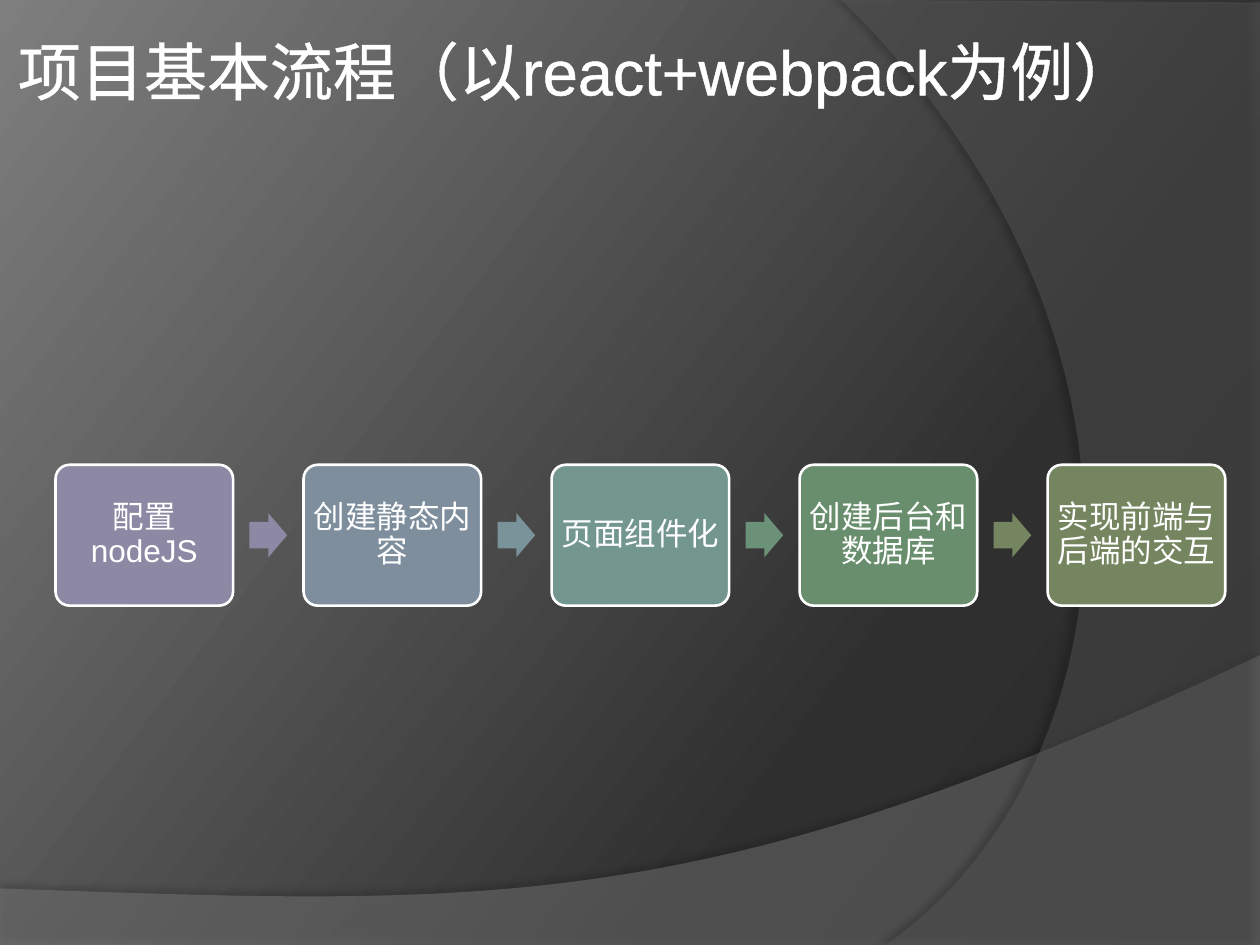
from dataclasses import dataclass
from lxml.etree import SubElement
from pptx import Presentation
from pptx.dml.color import RGBColor
from pptx.enum.shapes import MSO_SHAPE
from pptx.enum.text import MSO_ANCHOR, MSO_AUTO_SIZE, PP_ALIGN
from pptx.oxml.ns import qn
from pptx.util import Cm, Pt

TITLE = "项目基本流程（以react+webpack为例）"
STEPS = [
    ("配置nodeJS", "8D89A4", "8D89A4"),
    ("创建静态内容", "7E8E9D", "7A939B"),
    ("页面组件化", "73968F", "6B9279"),
    ("创建后台和数据库", "698E6E", "748560"),
    ("实现前端与后端的交互", "748560", None),
]
SWEEPS = [
    {
        "corners": [(0, 17.91), (0, 19.08), (25.4, 19.08), (25.4, 13.21)],
        "curve": [(14.2, 18.52), (9.93, 18.26), (0, 17.91)],
        "fill": "7F7F7F", "opacity": 45,
        "shadow": {"opacity": 35, "blur": 4, "distance": 3.5, "angle": 270},
    },
    {
        "corners": [(16.97, 0), (25.4, 0.05), (25.4, 19.05), (17.86, 19.05)],
        "curve": [(22.63, 15.72), (24.05, 6.99), (16.97, 0)],
        "fill": "5E5E5E", "opacity": 40,
        "shadow": {"opacity": 45, "blur": 4, "distance": 4, "angle": 180},
    },
]


@dataclass(frozen=True)
class Theme:
    font: str = "Arial"
    text: str = "FFFFFF"
    shadow: str = "000000"
    backdrop: tuple = ((0, "282828"), (30, "2F2F2F"), (100, "7E7E7E"))
    backdrop_angle: int = 217
    title_size: float = 36
    title_outline: float = 1.45
    step_size: float = 18
    border: float = 1.5


THEME = Theme()
STEP_LEFT, STEP_TOP, STEP_PITCH = 1.12, 9.37, 5.0
STEP_WIDTH, STEP_HEIGHT = 3.58, 2.84
ARROW_WIDTH, ARROW_HEIGHT = 0.76, 0.89
CURVE_STEPS = 60


def add_color(parent, color, opacity=100):
    element = SubElement(parent, qn("a:srgbClr"), val=color)
    if opacity < 100:
        SubElement(element, qn("a:alpha"), val=str(opacity * 1000))


def paint_background(slide):
    fill = slide.background.fill
    fill.gradient()
    gradient = slide.background._cSld.find(".//" + qn("a:gradFill"))
    stops = gradient.find(qn("a:gsLst"))
    for stop in list(stops):
        stops.remove(stop)
    for position, color in THEME.backdrop:
        add_color(SubElement(stops, qn("a:gs"), pos=str(position * 1000)), color)
    direction = gradient.find(qn("a:lin"))
    direction.set("ang", str(THEME.backdrop_angle * 60000))
    direction.set("scaled", "0")


def curve_points(start, first, second, end):
    for step in range(1, CURVE_STEPS + 1):
        t = step / CURVE_STEPS
        u = 1 - t
        yield tuple(
            u**3 * a + 3 * u**2 * t * b + 3 * u * t**2 * c + t**3 * d
            for a, b, c, d in zip(start, first, second, end)
        )


def add_sweep(slide, sweep):
    corners = sweep["corners"]
    outline = corners + list(curve_points(corners[-1], *sweep["curve"]))
    points = [(Cm(x), Cm(y)) for x, y in outline]
    builder = slide.shapes.build_freeform(*points[0])
    builder.add_line_segments(points[1:], close=True)
    shape = builder.convert_to_shape()
    shape.fill.solid()
    shape.fill.fore_color.rgb = RGBColor.from_string(sweep["fill"])
    color = shape.fill._xPr.find(".//" + qn("a:srgbClr"))
    SubElement(color, qn("a:alpha"), val=str(sweep["opacity"] * 1000))
    shape.line.fill.background()
    shape.shadow.inherit = False
    shadow = sweep["shadow"]
    effect = SubElement(
        shape.element.spPr.find(qn("a:effectLst")), qn("a:outerShdw"),
        blurRad=str(Pt(shadow["blur"])), dist=str(Pt(shadow["distance"])),
        dir=str(shadow["angle"] * 60000), algn="ctr", rotWithShape="0",
    )
    add_color(effect, THEME.shadow, shadow["opacity"])


def write_text(frame, text, size):
    frame.word_wrap = True
    paragraph = frame.paragraphs[0]
    paragraph.alignment = PP_ALIGN.CENTER
    run = paragraph.add_run()
    run.text = text
    run.font.name = THEME.font
    run.font.size = Pt(size)
    run.font.color.rgb = RGBColor.from_string(THEME.text)
    return paragraph, run


def add_title(slide):
    box = slide.shapes.add_textbox(Cm(0), Cm(0.53), Cm(23.27), Cm(1.8))
    run = write_text(box.text_frame, TITLE, THEME.title_size)[1]
    box.text_frame.auto_size = MSO_AUTO_SIZE.SHAPE_TO_FIT_TEXT
    properties = run.font._element
    outline = SubElement(properties, qn("a:ln"), w=str(Pt(THEME.title_outline)))
    add_color(SubElement(outline, qn("a:solidFill")), THEME.text)
    properties.insert(0, outline)


def add_block(slide, kind, left, top, width, height, color):
    shape = slide.shapes.add_shape(kind, Cm(left), Cm(top), Cm(width), Cm(height))
    shape.shadow.inherit = False
    shape.fill.solid()
    shape.fill.fore_color.rgb = RGBColor.from_string(color)
    shape.line.fill.background()
    return shape


def add_step(slide, index, text, color, arrow_color):
    left = STEP_LEFT + index * STEP_PITCH
    box = add_block(slide, MSO_SHAPE.ROUNDED_RECTANGLE, left, STEP_TOP,
                    STEP_WIDTH, STEP_HEIGHT, color)
    box.adjustments[0] = 0.1
    box.line.color.rgb = RGBColor.from_string(THEME.text)
    box.line.width = Pt(THEME.border)
    frame = box.text_frame
    frame.margin_left = frame.margin_right = Cm(0.1)
    frame.margin_top = frame.margin_bottom = Cm(0.1)
    frame.vertical_anchor = MSO_ANCHOR.MIDDLE
    write_text(frame, text, THEME.step_size)[0].line_spacing = 0.9
    if arrow_color:
        gap = STEP_PITCH - STEP_WIDTH
        arrow_left = left + STEP_WIDTH + (gap - ARROW_WIDTH) / 2
        arrow_top = STEP_TOP + (STEP_HEIGHT - ARROW_HEIGHT) / 2
        arrow = add_block(slide, MSO_SHAPE.RIGHT_ARROW, arrow_left, arrow_top,
                          ARROW_WIDTH, ARROW_HEIGHT, arrow_color)
        arrow.adjustments[0] = 0.6
        arrow.adjustments[1] = 0.5


def main():
    presentation = Presentation()
    presentation.slide_width, presentation.slide_height = Cm(25.4), Cm(19.05)
    slide = presentation.slides.add_slide(presentation.slide_layouts[6])
    paint_background(slide)
    for sweep in SWEEPS:
        add_sweep(slide, sweep)
    add_title(slide)
    for index, step in enumerate(STEPS):
        add_step(slide, index, *step)
    presentation.save("out.pptx")


if __name__ == "__main__":
    main()
